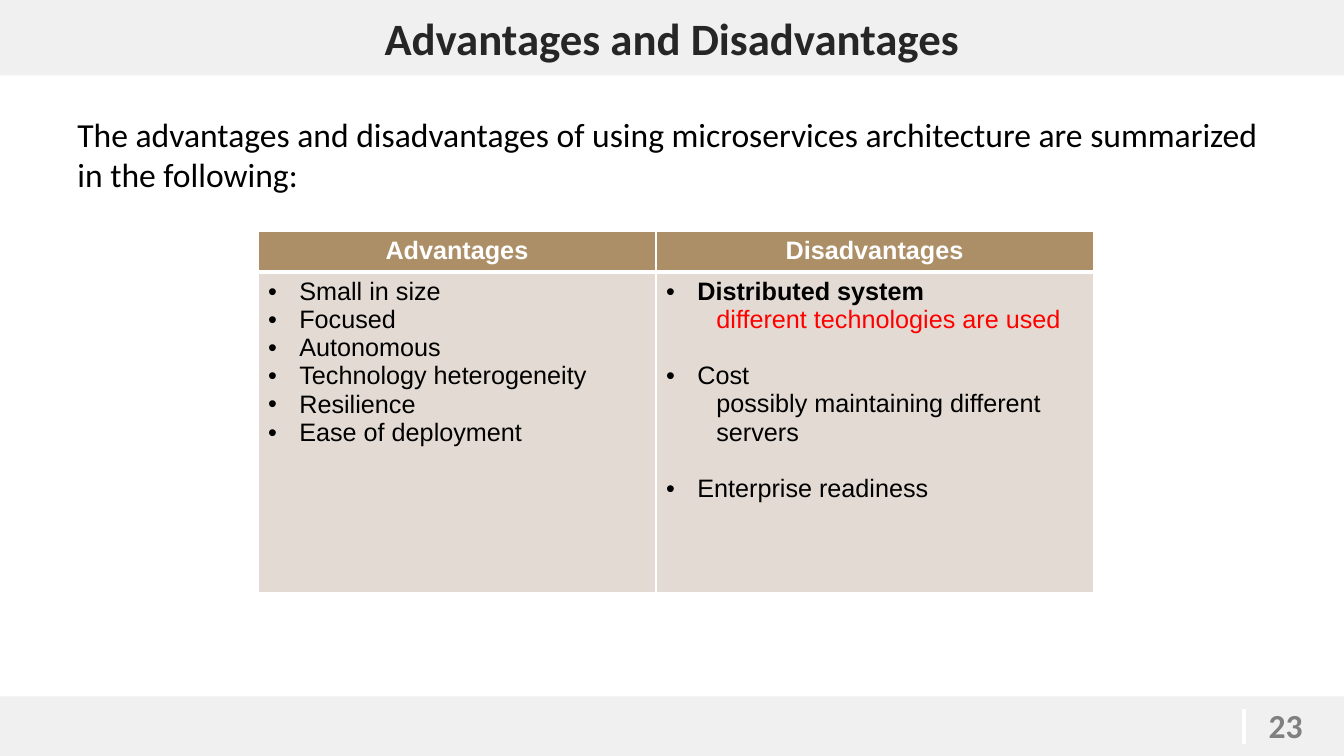
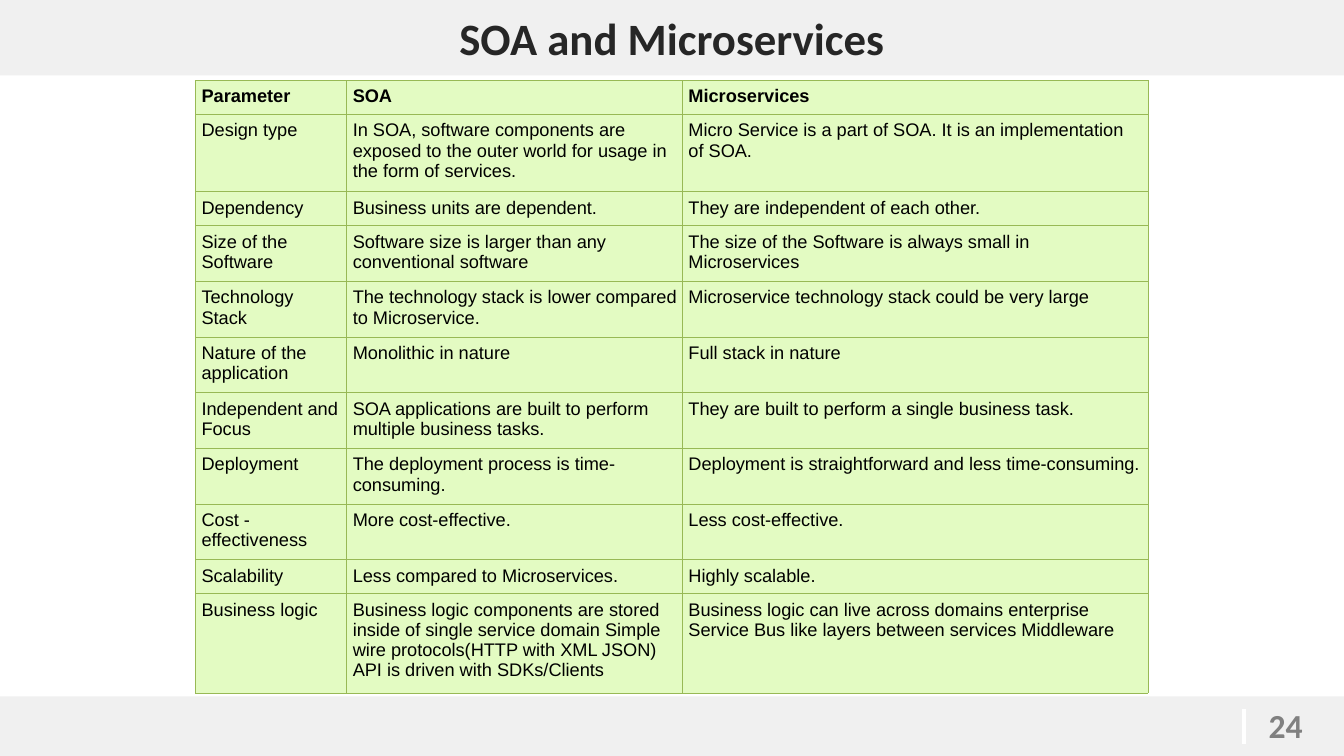
from lxml import etree
from pptx import Presentation
from pptx import util as u
from pptx.dml.color import RGBColor
from pptx.enum import shapes, text as t
from pptx.oxml import ns

COLOURS = {
    "band": "F0F0F0", "title": "262626", "number": "808080",
    "white": "FFFFFF", "black": "000000", "red": "FF0000",
    "brown": "AD8F67", "sand": "E3DBD3",
    "green": "E3FBC2", "green line": "98B955",
}


def colour(name):
    return RGBColor.from_string(COLOURS[name])


def write(para, text, size=18, font="Arial", color="black", bold=False,
          align=t.PP_ALIGN.LEFT, before=0, indent=0, bullet=False):
    """Put formatted text into a paragraph; indent is in centimetres."""
    para.alignment = align
    para.space_before = u.Pt(before)
    span = para.add_run()
    span.text = text
    span.font.size, span.font.name, span.font.bold = u.Pt(size), font, bold
    span.font.color.rgb = colour(color)
    properties = para._p.get_or_add_pPr()
    properties.set("marL", str(u.Cm(indent)))
    properties.set("indent", str(u.Cm(-indent if bullet else 0)))
    if bullet:
        face = etree.SubElement(properties, ns.qn("a:buFont"))
        face.set("typeface", "Arial")
        etree.SubElement(properties, ns.qn("a:buChar")).set("char", "•")


def border(cell, color, **widths):
    """Draw cell edges; widths are points keyed by L, R, T and B."""
    properties = cell._tc.get_or_add_tcPr()
    for side in "LRTB":
        line = etree.SubElement(properties, ns.qn(f"a:ln{side}"))
        line.set("w", str(u.Pt(widths[side])))
        fill = etree.SubElement(line, ns.qn("a:solidFill"))
        etree.SubElement(fill, ns.qn("a:srgbClr")).set("val", COLOURS[color])


class Slides:
    """The deck's shared style and the slide being filled."""

    def __init__(self):
        self.deck = Presentation()
        self.deck.slide_width, self.deck.slide_height = u.Cm(33.87), u.Cm(19.05)
        self.page = None

    def start(self, title, number):
        self.page = self.deck.slides.add_slide(self.deck.slide_layouts[5])
        self.title(title)
        self.footer(number)

    def title(self, text):
        box = self.page.shapes.title
        box.left, box.top = u.Cm(0), u.Cm(0)
        box.width, box.height = self.deck.slide_width, u.Cm(1.9)
        box.fill.solid()
        box.fill.fore_color.rgb = colour("band")
        box.text_frame.vertical_anchor = t.MSO_ANCHOR.MIDDLE
        write(box.text_frame.paragraphs[0], text, size=32, font="Calibri",
              color="title", bold=True, align=t.PP_ALIGN.CENTER)

    def footer(self, number):
        band = self.page.shapes.add_shape(
            shapes.MSO_SHAPE.RECTANGLE, 0, u.Cm(17.55),
            self.deck.slide_width, u.Cm(1.5))
        band.shadow.inherit = False
        band.fill.solid()
        band.fill.fore_color.rgb = colour("band")
        band.line.fill.background()
        self.line(31.34, 17.86, 31.34, 18.75)
        self.text(31.72, 17.65, 2.15, 1.27, str(number), size=24,
                  font="Calibri", color="number", bold=True)

    def line(self, x1, y1, x2, y2, color="white", width=3):
        line = self.page.shapes.add_connector(
            shapes.MSO_CONNECTOR.STRAIGHT, u.Cm(x1), u.Cm(y1), u.Cm(x2), u.Cm(y2))
        line.line.color.rgb = colour(color)
        line.line.width = u.Pt(width)
        etree.SubElement(line._element.spPr, ns.qn("a:effectLst"))

    def text(self, left, top, width, height, text, **style):
        box = self.page.shapes.add_textbox(
            u.Cm(left), u.Cm(top), u.Cm(width), u.Cm(height))
        box.text_frame.word_wrap = True
        write(box.text_frame.paragraphs[0], text, **style)

    def table(self, left, top, widths, heights):
        table = self.page.shapes.add_table(
            len(heights), len(widths), u.Cm(left), u.Cm(top),
            u.Cm(sum(widths)), u.Cm(sum(heights))).table
        for column, width in zip(table.columns, widths):
            column.width = u.Cm(width)
        for row, height in zip(table.rows, heights):
            row.height = u.Cm(height)
        return table

    def cell(self, cell, paragraphs, fill, edge, widths, inset=None):
        """Fill a cell from (text, format) pairs."""
        border(cell, edge, **widths)
        cell.fill.solid()
        cell.fill.fore_color.rgb = colour(fill)
        if inset is not None:
            cell.margin_left = cell.margin_right = u.Cm(inset)
            cell.margin_top = cell.margin_bottom = u.Cm(inset)
        frame = cell.text_frame
        for index, (text, style) in enumerate(paragraphs):
            para = frame.add_paragraph() if index else frame.paragraphs[0]
            write(para, text, **style)


# Content of the two tables
ITEM = {"indent": 0.79, "bullet": True}
SPACED = {**ITEM, "before": 20.1}
DETAIL = {"indent": 1.27}

ADVANTAGES = [(name, ITEM) for name in (
    "Small in size", "Focused", "Autonomous", "Technology heterogeneity",
    "Resilience", "Ease of deployment")]
DISADVANTAGES = [
    ("Distributed system", {**ITEM, "bold": True}),
    ("different technologies are used", {**DETAIL, "color": "red"}),
    ("Cost", SPACED),
    ("possibly maintaining different servers", DETAIL),
    ("Enterprise readiness", SPACED),
]

# Each row: number of text lines, then the three cells
COMPARISON = [
    (1, "Parameter", "SOA", "Microservices"),
    (3, "Design type",
     "In SOA, software components are exposed to the outer world for usage in "
     "the form of services.",
     "Micro Service is a part of SOA. It is an implementation of SOA."),
    (1, "Dependency", "Business units are dependent.",
     "They are independent of each other."),
    (2, "Size of the Software",
     "Software size is larger than any conventional software",
     "The size of the Software is always small in Microservices"),
    (2, "Technology Stack",
     "The technology stack is lower compared to Microservice.",
     "Microservice technology stack could be very large"),
    (2, "Nature of the application", "Monolithic in nature",
     "Full stack in nature"),
    (2, "Independent and Focus",
     "SOA applications are built to perform multiple business tasks.",
     "They are built to perform a single business task."),
    (2, "Deployment", "The deployment process is time- consuming.",
     "Deployment is straightforward and less time-consuming."),
    (2, "Cost - effectiveness", "More cost-effective.", "Less cost-effective."),
    (1, "Scalability", "Less compared to Microservices.", "Highly scalable."),
    (4, "Business logic",
     "Business logic components are stored inside of single service domain "
     "Simple wire protocols(HTTP with XML JSON)\nAPI is driven with SDKs/Clients",
     "Business logic can live across domains enterprise Service Bus like layers "
     "between services Middleware"),
]


def advantages(slides):
    slides.start("Advantages and Disadvantages", 23)
    slides.text(1.7, 2.74, 30.48, 2.3,
                "The advantages and disadvantages of using microservices "
                "architecture are summarized in the following:",
                size=24, font="Calibri")
    table = slides.table(6.5, 5.84, [10.03, 11.02], [1.02, 8.08])
    heading = {"color": "white", "bold": True, "align": t.PP_ALIGN.CENTER}
    columns = {"Advantages": ADVANTAGES, "Disadvantages": DISADVANTAGES}
    for index, (name, items) in enumerate(columns.items()):
        slides.cell(table.cell(0, index), [(name, heading)], "brown", "white",
                    {"L": 1, "R": 1, "T": 1, "B": 3})
        slides.cell(table.cell(1, index), items, "sand", "white",
                    {"L": 1, "R": 1, "T": 3, "B": 1})


def comparison(slides):
    slides.start("SOA and Microservices", 24)
    inset, line_height = 0.15, 0.51
    heights = [2 * inset + lines * line_height for lines, *_ in COMPARISON]
    table = slides.table(4.93, 2.03, [3.81, 8.46, 11.73], heights)
    edges = dict.fromkeys("LRTB", 0.75)
    for row, (_, *texts) in enumerate(COMPARISON):
        style = {"size": 13, "bold": row == 0}
        for column, text in enumerate(texts):
            slides.cell(table.cell(row, column),
                        [(part, style) for part in text.split("\n")],
                        "green", "green line", edges, inset)


def main():
    slides = Slides()
    advantages(slides)
    comparison(slides)
    slides.deck.save("out.pptx")


if __name__ == "__main__":
    main()
